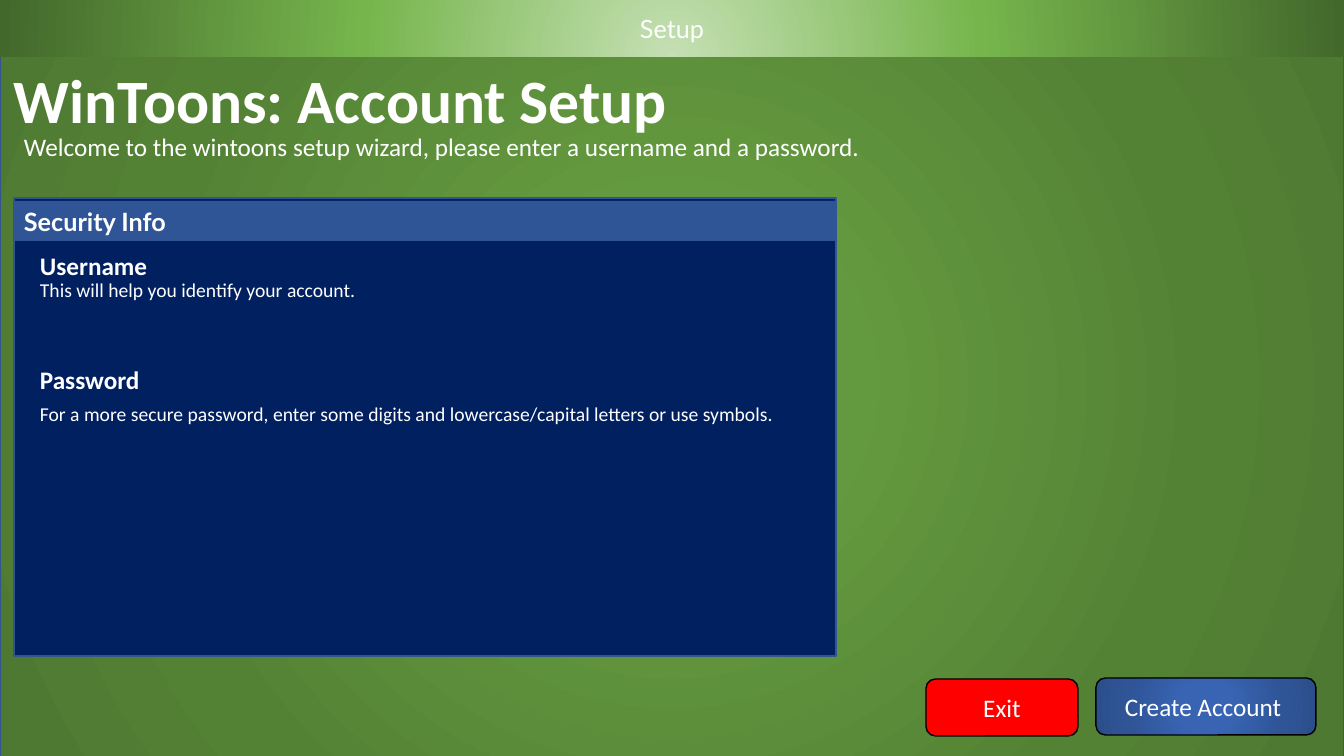
from lxml import etree
from pptx import Presentation
from pptx import util as u
from pptx.dml.color import RGBColor
from pptx.enum import shapes, text

THEME = {
    "white": "FFFFFF", "black": "000000", "red": "FF0000",
    "navy": "002060", "blue": "2F5597", "edge": "325491",
    "backdrop": [(0, "649A3F"), (23, "649A3F"), (69, "548235"), (97, "4E7932")],
    "banner": [(0, "C5E0B4"), (46, "76B54C"), (100, "43682B")],
    "button": [(0, "3864B3"), (23, "3864B3"), (69, "2F5597"), (97, "2C4F8C")],
    "title": 44, "body": 18, "small": 14,
    "font": "Calibri", "heading_font": "Lato",
}
CENTRE = (50, 50, 50, 50)
BELOW = (50, 130, 50, -30)

WIDTH, HEIGHT = 1344, 756
PX = u.Inches(1) / 100.8
DRAWING = "http://schemas.openxmlformats.org/drawingml/2006/main"

# (left, top, width, height) in px, then preset, fill, outline, gradient focus
BACKDROP = ((0, 0, WIDTH, 765), "RECTANGLE", "backdrop", "edge", CENTRE)
BANNER = ((0, 0, WIDTH, 57), "RECTANGLE", "banner", None, BELOW)
PANEL = ((14, 198, 822, 458), "RECTANGLE", "navy", "edge", None)
PANEL_HEADER = ((14, 201, 822, 40), "RECTANGLE", "blue", None, None)
BUTTONS = [
    ("Exit", ((926, 679, 152, 57), "ROUNDED_RECTANGLE", "red", "black", None)),
    ("Create Account ", ((1096, 678, 220, 57), "ROUNDED_RECTANGLE", "button", "black", CENTRE)),
]
LABELS = [
    ("WinToons: Account Setup", (4, 57, 1047, 85), "title", True),
    ("Welcome to the wintoons setup wizard, please enter a username and a password.",
     (14, 126, 912, 40), "body", False),
    ("This will help you identify your account.", (30, 273, 366, 34), "small", False),
    ("Username", (30, 245, 203, 40), "body", True),
    ("For a more secure password, enter some digits and lowercase/capital letters or use symbols.",
     (30, 397, 769, 34), "small", False),
    ("Password", (30, 359, 203, 40), "body", True),
]


def emu(area):
    return [round(length * PX) for length in area]


def radial_fill(box, stops, focus):
    """Fill a shape with a circular gradient spreading from focus (l, t, r, b in percent)."""
    fill = etree.Element(f"{{{DRAWING}}}gradFill", rotWithShape="1")
    stop_list = etree.SubElement(fill, f"{{{DRAWING}}}gsLst")
    for percent, color in stops:
        stop = etree.SubElement(stop_list, f"{{{DRAWING}}}gs", pos=str(percent * 1000))
        etree.SubElement(stop, f"{{{DRAWING}}}srgbClr", val=color)
    circle = etree.SubElement(fill, f"{{{DRAWING}}}path")
    circle.set("path", "circle")
    sides = {side: str(percent * 1000) for side, percent in zip("ltrb", focus)}
    etree.SubElement(circle, f"{{{DRAWING}}}fillToRect", sides)
    box._element.spPr.find(f"{{{DRAWING}}}prstGeom").addnext(fill)


def add_box(parent, area, preset, fill, outline, focus):
    box = parent.add_shape(getattr(shapes.MSO_SHAPE, preset), *emu(area))
    box.shadow.inherit = False
    if focus:
        radial_fill(box, THEME[fill], focus)
    else:
        box.fill.solid()
        box.fill.fore_color.rgb = RGBColor.from_string(THEME[fill])
    if outline:
        box.line.color.rgb = RGBColor.from_string(THEME[outline])
        box.line.width = u.Pt(1)
    else:
        box.line.fill.background()
    return box


def write(box, words, size="body", bold=False, font="font", centred=False):
    frame = box.text_frame
    layout = {
        "word_wrap": True,
        "vertical_anchor": text.MSO_ANCHOR.MIDDLE if centred else text.MSO_ANCHOR.TOP,
        "auto_size": text.MSO_AUTO_SIZE.NONE if centred else text.MSO_AUTO_SIZE.SHAPE_TO_FIT_TEXT,
    }
    for name, value in layout.items():
        setattr(frame, name, value)
    para = frame.paragraphs[0]
    para.alignment = text.PP_ALIGN.CENTER if centred else text.PP_ALIGN.LEFT
    span = para.add_run()
    span.text = words
    style = {"name": THEME[font], "size": u.Pt(THEME[size]), "bold": bold}
    for name, value in style.items():
        setattr(span.font, name, value)
    span.font.color.rgb = RGBColor.from_string(THEME["white"])


def main():
    deck = Presentation()
    deck.slide_width, deck.slide_height = emu((WIDTH, HEIGHT))
    page = deck.slides.add_slide(deck.slide_layouts[6])

    add_box(page.shapes, *BACKDROP)
    write(add_box(page.shapes, *BANNER), "Setup", font="heading_font", centred=True)

    security = page.shapes.add_group_shape()
    add_box(security.shapes, *PANEL)
    write(add_box(security.shapes, *PANEL_HEADER), "Security Info",
          bold=True, font="heading_font")

    for words, button in BUTTONS:
        write(add_box(page.shapes, *button), words, centred=True)
    for words, area, size, bold in LABELS:
        write(page.shapes.add_textbox(*emu(area)), words, size, bold)

    deck.save("out.pptx")


if __name__ == "__main__":
    main()
